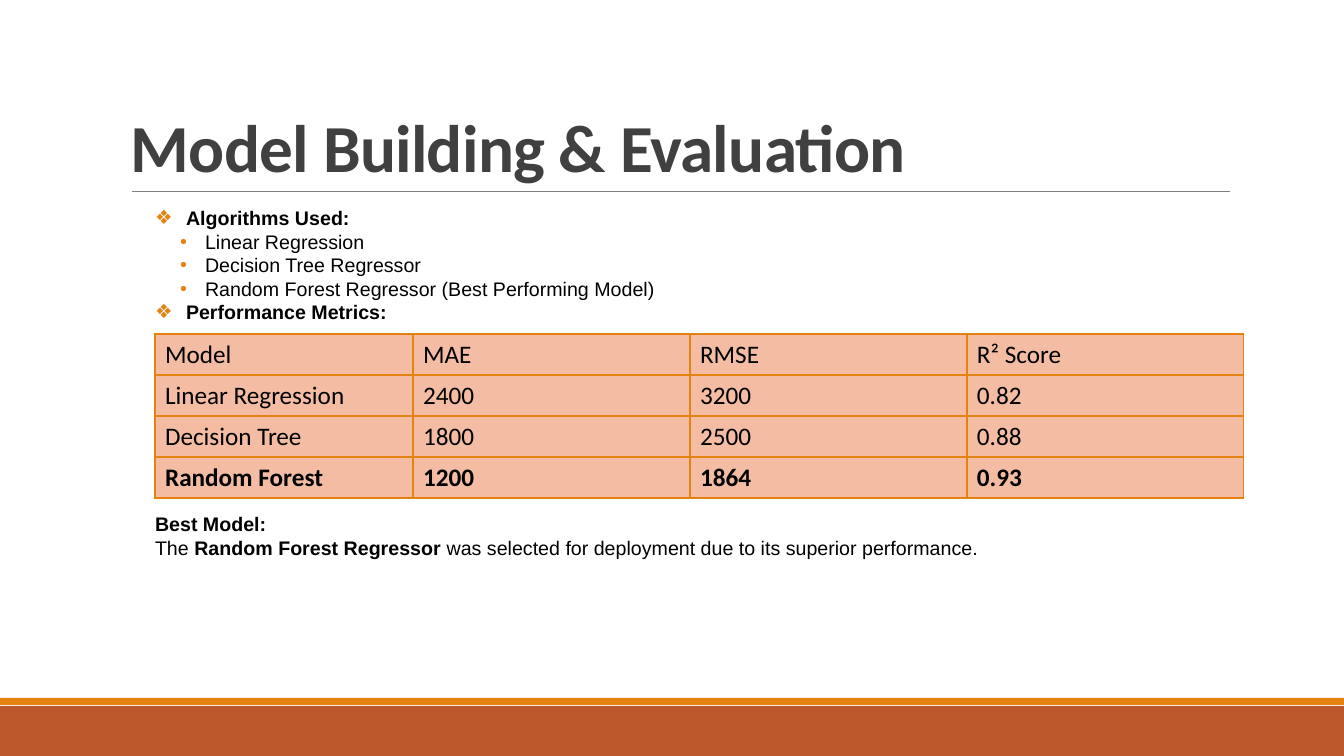
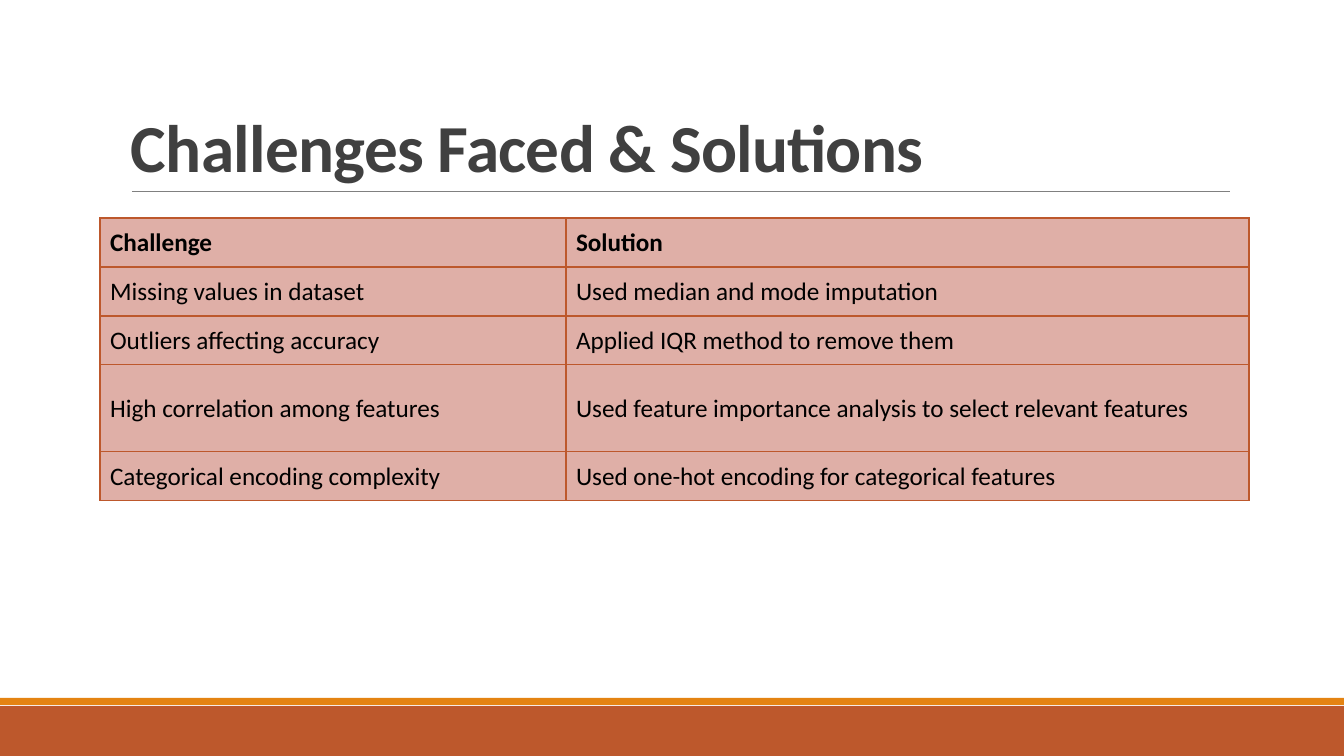
from lxml.etree import SubElement
from pptx import Presentation
from pptx.dml.color import RGBColor
from pptx.enum.shapes import MSO_CONNECTOR as Connector, MSO_SHAPE as Shape
from pptx.enum.text import MSO_ANCHOR as Anchor
from pptx.oxml.ns import qn
from pptx.util import Emu, Pt

# Shared geometry and style
SCALE = 914400 / 100.8  # EMU in one px
SLIDE_WIDTH, SLIDE_HEIGHT = 1344, 756
BLANK_LAYOUT = 6

ORANGE, RUST, GREY, BLACK = "E48312", "BD582C", "808080", "000000"
PEACH, ROSE = "F4BDA3", "DFAFA7"

TITLE_FORMAT = {"name": "Calibri", "size": Pt(48), "bold": True}
CELL_FORMAT = {"name": "Calibri", "size": Pt(18)}
BODY_FORMAT = {"name": "Arial", "size": Pt(14)}

# Bullet kind: character, text indent, hanging width
BULLETS = {"heading": ("❖", 31, 31), "item": ("•", 50, 25)}


def px(length):
    return Emu(round(length * SCALE))


def color(hex_text):
    return RGBColor.from_string(hex_text)


def apply_format(target, values):
    for name, value in values.items():
        setattr(target, name, value)


def add_run(paragraph, text, values, text_color=BLACK, bold=None):
    run = paragraph.add_run()
    run.text = text
    apply_format(run.font, values)
    if bold is not None:
        run.font.bold = bold
    run.font.color.rgb = color(text_color)
    return run


def add_band(slide, top, height, fill):
    band = slide.shapes.add_shape(
        Shape.RECTANGLE, 0, px(top), px(SLIDE_WIDTH), px(height))
    band.shadow.inherit = False
    band.fill.solid()
    band.fill.fore_color.rgb = color(fill)
    band.line.fill.background()


def add_rule(slide, left, right, y):
    rule = slide.shapes.add_connector(
        Connector.STRAIGHT, px(left), px(y), px(right), px(y))
    rule.line.color.rgb = color(GREY)
    rule.line.width = Pt(0.5)
    SubElement(rule._element.spPr, qn("a:effectLst"))


def add_text_frame(slide, box, values):
    frame = slide.shapes.add_textbox(*map(px, box)).text_frame
    apply_format(frame, {"word_wrap": True, **values})
    return frame


def add_title(slide, text):
    frame = add_text_frame(
        slide, (121, 31, 1109, 160), {"vertical_anchor": Anchor.BOTTOM})
    paragraph = frame.paragraphs[0]
    paragraph.line_spacing = 0.85
    run = add_run(paragraph, text, TITLE_FORMAT, "404040")
    run._r.get_or_add_rPr().set("spc", "-50")


def add_titled_slide(presentation, title):
    slide = presentation.slides.add_slide(
        presentation.slide_layouts[BLANK_LAYOUT])
    add_band(slide, 706, 50, RUST)
    add_band(slide, 698, 7, ORANGE)
    add_rule(slide, 132, 1230, 191)
    add_title(slide, title)
    return slide


def set_bullet(paragraph, kind):
    character, indent, hanging = BULLETS[kind]
    properties = paragraph._p.get_or_add_pPr()
    properties.set("marL", str(px(indent)))
    properties.set("indent", str(-px(hanging)))
    bullet_color = SubElement(properties, qn("a:buClr"))
    SubElement(bullet_color, qn("a:srgbClr"), val=ORANGE)
    SubElement(properties, qn("a:buFont"), typeface="Arial")
    SubElement(properties, qn("a:buChar"), char=character)


def add_body(slide, box, paragraphs):
    """Each paragraph is a bullet kind (or None) and its (text, bold) runs."""
    margins = ("margin_left", "margin_top", "margin_right", "margin_bottom")
    frame = add_text_frame(slide, box, dict.fromkeys(margins, 0))
    for index, (kind, runs) in enumerate(paragraphs):
        paragraph = frame.add_paragraph() if index else frame.paragraphs[0]
        if kind:
            set_bullet(paragraph, kind)
        for text, bold in runs:
            add_run(paragraph, text, BODY_FORMAT, bold=bold)


def set_borders(cell, line_color):
    properties = cell._tc.get_or_add_tcPr()
    for side in ("lnL", "lnR", "lnT", "lnB"):
        border = SubElement(properties, qn(f"a:{side}"), w=str(Pt(1)))
        fill = SubElement(border, qn("a:solidFill"))
        SubElement(fill, qn("a:srgbClr"), val=line_color)


def add_table(slide, left, top, widths, heights, rows, fill, line_color, bold_row):
    table = slide.shapes.add_table(
        len(rows), len(widths), px(left), px(top),
        px(sum(widths)), px(sum(heights))).table
    apply_format(table, {"first_row": False, "horz_banding": False})
    for column, width in zip(table.columns, widths):
        column.width = px(width)
    for row_index, (height, texts) in enumerate(zip(heights, rows)):
        table.rows[row_index].height = px(height)
        for column_index, text in enumerate(texts):
            cell = table.cell(row_index, column_index)
            set_borders(cell, line_color)
            cell.fill.solid()
            cell.fill.fore_color.rgb = color(fill)
            cell.vertical_anchor = Anchor.MIDDLE
            add_run(cell.text_frame.paragraphs[0], text, CELL_FORMAT,
                    bold=row_index == bold_row)


def build_evaluation(presentation):
    slide = add_titled_slide(presentation, "Model Building & Evaluation")

    # Algorithms and metrics heading
    add_body(slide, (155, 206, 1117, 118), [
        ("heading", [("Algorithms Used:", True)]),
        ("item", [("Linear Regression", False)]),
        ("item", [("Decision Tree Regressor", False)]),
        ("item", [("Random Forest Regressor (Best Performing Model)", False)]),
        ("heading", [("Performance Metrics:", True)]),
    ])

    # Scores by model
    rows = [
        ("Model", "MAE", "RMSE", "R² Score"),
        ("Linear Regression", "2400", "3200", "0.82"),
        ("Decision Tree", "1800", "2500", "0.88"),
        ("Random Forest", "1200", "1864", "0.93"),
    ]
    add_table(slide, 155, 334, [258] + [277] * 3, [41] * len(rows), rows,
              PEACH, ORANGE, bold_row=3)

    # Conclusion
    add_body(slide, (155, 512, 1117, 47), [
        (None, [("Best Model:", True)]),
        (None, [("The ", False), ("Random Forest Regressor", True),
                (" was selected for deployment due to its superior performance.",
                 False)]),
    ])


def build_challenges(presentation):
    slide = add_titled_slide(presentation, "Challenges Faced & Solutions")
    rows = [
        ("Challenge", "Solution"),
        ("Missing values in dataset", "Used median and mode imputation"),
        ("Outliers affecting accuracy", "Applied IQR method to remove them"),
        ("High correlation among features",
         "Used feature importance analysis to select relevant features"),
        ("Categorical encoding complexity",
         "Used one-hot encoding for categorical features"),
    ]
    add_table(slide, 100, 218, [466, 683], [49, 49, 49, 87, 49], rows,
              ROSE, RUST, bold_row=0)


def main():
    presentation = Presentation()
    apply_format(presentation, {"slide_width": px(SLIDE_WIDTH),
                                "slide_height": px(SLIDE_HEIGHT)})
    build_evaluation(presentation)
    build_challenges(presentation)
    presentation.save("out.pptx")


if __name__ == "__main__":
    main()
